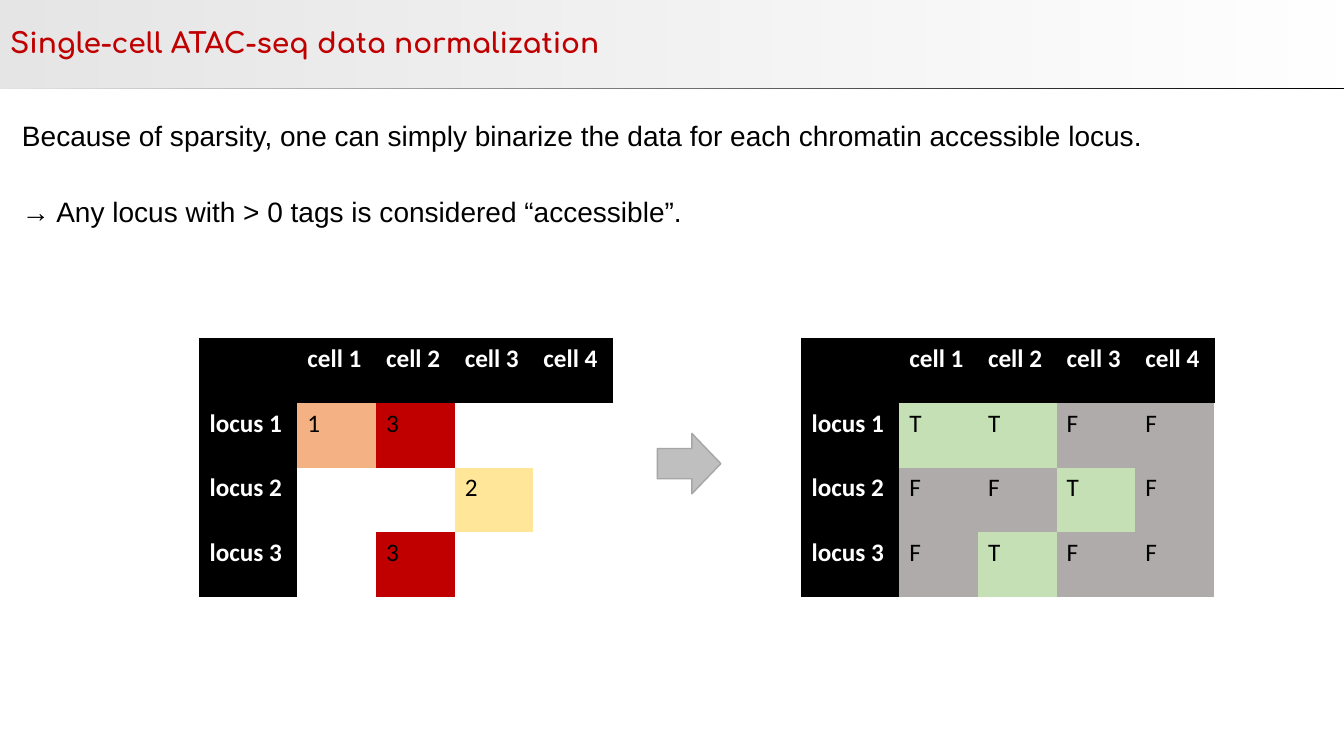
from lxml import etree
from pptx import Presentation
from pptx.dml.color import RGBColor
from pptx.enum.shapes import MSO_CONNECTOR, MSO_SHAPE
from pptx.enum.text import MSO_ANCHOR, PP_ALIGN
from pptx.oxml.ns import qn
from pptx.util import Inches, Pt

BLACK = RGBColor(0x00, 0x00, 0x00)
WHITE = RGBColor(0xFF, 0xFF, 0xFF)
RED = RGBColor(0xC0, 0x00, 0x00)
ORANGE = RGBColor(0xF4, 0xB1, 0x83)
YELLOW = RGBColor(0xFF, 0xE6, 0x99)
GREEN = RGBColor(0xC5, 0xE0, 0xB4)
GRAY = RGBColor(0xAF, 0xAB, 0xAB)
HEADER_GRAY = RGBColor(0xE7, 0xE6, 0xE6)
ARROW_FILL = RGBColor(0xBF, 0xBF, 0xBF)
ARROW_LINE = RGBColor(0xA6, 0xA6, 0xA6)

SLIDE_WIDTH, SLIDE_HEIGHT = 13.33, 7.5
NO_GRID_STYLE = "{2D5ABB26-0587-4C30-8999-92F81FD0307C}"
COLUMN_WIDTHS = [0.97, 0.78, 0.78, 0.78, 0.78]
ROW_HEIGHT = 0.64

STATEMENTS = [
    "Because of sparsity, one can simply binarize the data for each chromatin accessible locus.",
    "→ Any locus with > 0 tags is considered “accessible”.",
]
CELL_NAMES = ["", "cell 1", "cell 2", "cell 3", "cell 4"]
TAG_COUNTS = [
    ["locus 1", "1", "3", "", ""],
    ["locus 2", "", "", "2", ""],
    ["locus 3", "", "3", "", ""],
]
ACCESSIBILITY = [
    ["locus 1", "T", "T", "F", "F"],
    ["locus 2", "F", "F", "T", "F"],
    ["locus 3", "F", "T", "F", "F"],
]
VALUE_FILLS = {"1": ORANGE, "2": YELLOW, "3": RED, "T": GREEN, "F": GRAY}


def add_run(paragraph, text, font_name, size, color, bold=False):
    run = paragraph.add_run()
    run.text = text
    run.font.name = font_name
    run.font.size = Pt(size)
    run.font.color.rgb = color
    run.font.bold = bold


def add_header(slide, left, top, width, height):
    """Format the title as a fading band with a rule behind its lower edge."""
    title = slide.shapes.title
    title.left, title.top = Inches(left), Inches(top)
    title.width, title.height = Inches(width), Inches(height)
    title.fill.gradient()
    title.fill.gradient_angle = 0
    for stop in title.fill.gradient_stops:
        stop.color.rgb = HEADER_GRAY
    last_color = list(title._element.spPr.iter(qn("a:srgbClr")))[-1]
    etree.SubElement(last_color, qn("a:alpha"), val="0")

    title.text_frame.vertical_anchor = MSO_ANCHOR.MIDDLE
    paragraph = title.text_frame.paragraphs[0]
    paragraph.alignment = PP_ALIGN.LEFT
    paragraph.line_spacing = 0.9
    add_run(paragraph, "Single-cell ATAC-seq data normalization", "Comfortaa", 20, RED, True)

    bottom = Inches(top + height)
    rule = slide.shapes.add_connector(
        MSO_CONNECTOR.STRAIGHT, Inches(left), bottom, Inches(left + width), bottom)
    rule.line.color.rgb = BLACK
    rule.line.width = Pt(0.75)
    etree.SubElement(rule._element.spPr, qn("a:effectLst"))
    title._element.addprevious(rule._element)


def add_statements(slide, left, top, width, height):
    box = slide.shapes.add_textbox(Inches(left), Inches(top), Inches(width), Inches(height))
    frame = box.text_frame
    frame.word_wrap = True
    for index, statement in enumerate(STATEMENTS):
        paragraph = frame.add_paragraph() if index else frame.paragraphs[0]
        properties = paragraph._p.get_or_add_pPr()
        properties.set("marL", str(Inches(0.25)))
        properties.set("indent", str(Inches(-0.25)))
        paragraph.line_spacing = 1.5
        paragraph.space_after = Pt(18)
        add_run(paragraph, statement, "Arial", 20, BLACK)


def add_border(cell, side):
    line = etree.SubElement(cell._tc.get_or_add_tcPr(), qn(f"a:ln{side}"), w=str(Pt(0.5)))
    fill = etree.SubElement(line, qn("a:solidFill"))
    etree.SubElement(fill, qn("a:srgbClr"), val=str(BLACK))


def add_locus_table(slide, left, top, loci):
    """Add a locus-by-cell table whose value cells are coloured by their value."""
    rows = [CELL_NAMES] + loci
    frame = slide.shapes.add_table(
        len(rows), len(CELL_NAMES), Inches(left), Inches(top),
        Inches(sum(COLUMN_WIDTHS)), Inches(ROW_HEIGHT * len(rows)))
    table = frame.table
    table._tbl.tblPr.find(qn("a:tableStyleId")).text = NO_GRID_STYLE
    table.horz_banding = False
    for column, width in zip(table.columns, COLUMN_WIDTHS):
        column.width = Inches(width)

    for row_index, row in enumerate(rows):
        table.rows[row_index].height = Inches(ROW_HEIGHT)
        for column_index, text in enumerate(row):
            cell = table.cell(row_index, column_index)
            is_heading = row_index == 0 or column_index == 0
            outer_sides = {
                "L": column_index == 0,
                "R": row_index == 0 and column_index == len(row) - 1,
                "T": row_index == 0,
                "B": column_index == 0 and row_index == len(rows) - 1,
            }
            for side, is_outer in outer_sides.items():
                if is_outer:
                    add_border(cell, side)
            if is_heading or text:
                cell.fill.solid()
                cell.fill.fore_color.rgb = BLACK if is_heading else VALUE_FILLS[text]
            else:
                cell.fill.background()
            if text:
                add_run(cell.text_frame.paragraphs[0], text, "Calibri", 18,
                        WHITE if is_heading else BLACK, is_heading)


def add_arrow(slide, left, top, width, height):
    arrow = slide.shapes.add_shape(
        MSO_SHAPE.RIGHT_ARROW, Inches(left), Inches(top), Inches(width), Inches(height))
    arrow.adjustments[1] = 0.48
    arrow.shadow.inherit = False
    arrow.fill.solid()
    arrow.fill.fore_color.rgb = ARROW_FILL
    arrow.line.color.rgb = ARROW_LINE
    arrow.line.width = Pt(1)


def main():
    presentation = Presentation()
    presentation.slide_width = Inches(SLIDE_WIDTH)
    presentation.slide_height = Inches(SLIDE_HEIGHT)
    slide = presentation.slides.add_slide(presentation.slide_layouts[5])
    add_header(slide, 0, 0, SLIDE_WIDTH, 0.88)
    add_statements(slide, 0.12, 0.96, 13.04, 6.03)
    add_locus_table(slide, 1.98, 3.36, TAG_COUNTS)
    add_locus_table(slide, 7.95, 3.36, ACCESSIBILITY)
    add_arrow(slide, 6.52, 4.3, 0.63, 0.6)
    presentation.save("out.pptx")


if __name__ == "__main__":
    main()
